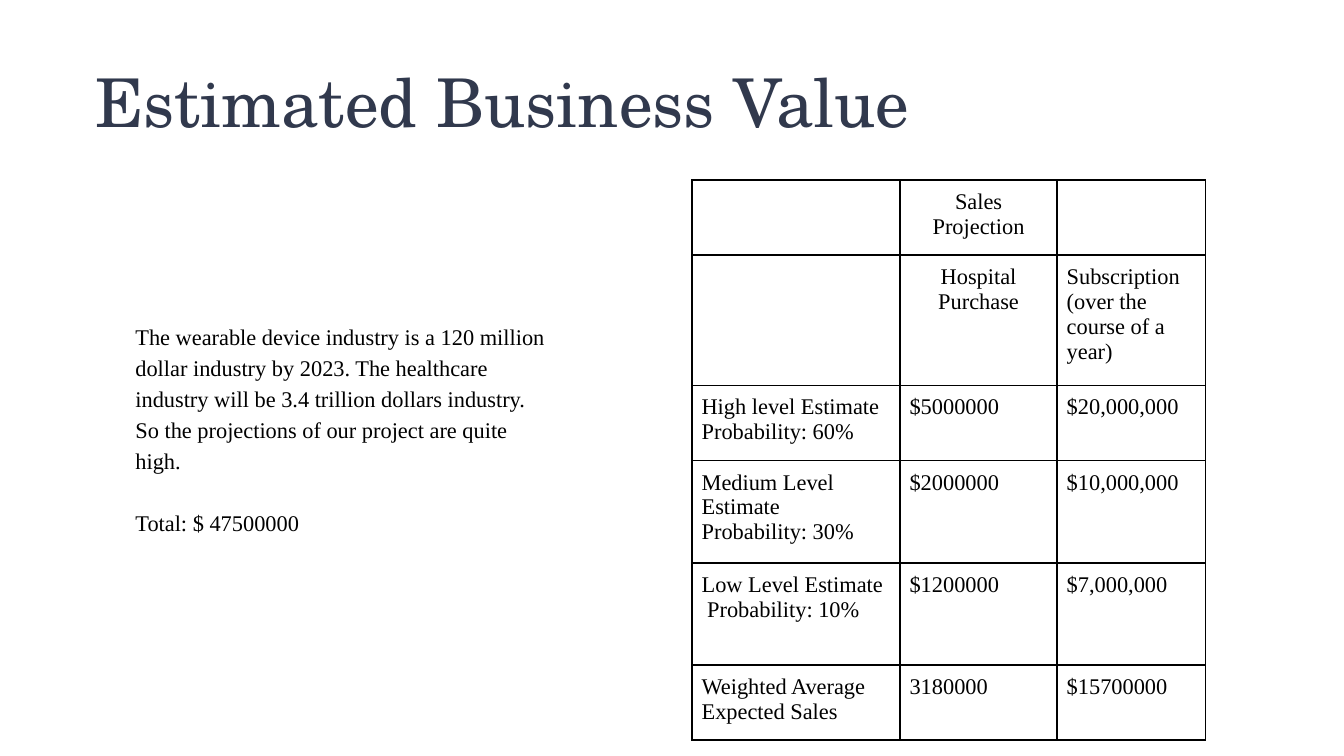
"""Build the slide on estimated business value, with its sales projection table."""
from lxml import etree
from pptx import Presentation
from pptx.dml.color import RGBColor
from pptx.enum.text import MSO_ANCHOR, MSO_AUTO_SIZE, PP_ALIGN
from pptx.oxml import parse_xml
from pptx.oxml.ns import nsdecls
from pptx.util import Cm, Pt


def style(paragraph, font_name, size, colour):
    for run in paragraph.runs:
        run.font.name = font_name
        run.font.size = Pt(size)
        run.font.color.rgb = RGBColor.from_string(colour)


def add_borders(cell, colour, width):
    properties = cell._tc.get_or_add_tcPr()
    for position, side in enumerate(("lnL", "lnR", "lnT", "lnB")):
        properties.insert(position, parse_xml(
            f'<a:{side} {nsdecls("a")} w="{Pt(width)}"><a:solidFill>'
            f'<a:srgbClr val="{colour}"/></a:solidFill></a:{side}>'))


BODY_FONT = "Times New Roman"
BLACK = "000000"

presentation = Presentation()
presentation.slide_width = Cm(25.4)
presentation.slide_height = Cm(14.28)
slide = presentation.slides.add_slide(presentation.slide_layouts[5])

title = slide.shapes.title
title.left, title.top, title.width, title.height = Cm(1.55), Cm(1.02), Cm(19.2), Cm(2.13)
title.text_frame.text = "Estimated Business Value"
title.text_frame.vertical_anchor = MSO_ANCHOR.TOP
title.text_frame.paragraphs[0].alignment = PP_ALIGN.LEFT
title.text_frame.paragraphs[0].space_after = Pt(16)
style(title.text_frame.paragraphs[0], "TeX Gyre Schola", 36, "31394D")

projection_rows = [
    ("", "Sales Projection", ""),
    ("", "Hospital Purchase", "Subscription (over the course of a year)"),
    ("High level Estimate\nProbability: 60%", "$5000000", "$20,000,000"),
    ("Medium Level Estimate\nProbability: 30%", "$2000000", "$10,000,000"),
    ("Low Level Estimate\n Probability: 10%", "$1200000", "$7,000,000"),
    ("Weighted Average Expected Sales", "3180000", "$15700000"),
]
column_widths = [3.93, 2.97, 2.8]
row_heights = [1.42, 2.46, 1.42, 1.93, 1.93, 1.42]
projection = slide.shapes.add_table(
    len(row_heights), len(column_widths), Cm(13.08), Cm(3.4),
    Cm(sum(column_widths)), Cm(sum(row_heights))).table
projection.first_row = False
projection.horz_banding = False
for column, width in zip(projection.columns, column_widths):
    column.width = Cm(width)
for row, height in zip(projection.rows, row_heights):
    row.height = Cm(height)
for row_number, texts in enumerate(projection_rows):
    for column_number, text in enumerate(texts):
        cell = projection.cell(row_number, column_number)
        cell.text_frame.text = text
        cell.margin_left = cell.margin_right = Cm(0.18)
        cell.margin_top = cell.margin_bottom = Cm(0.18)
        cell.fill.background()
        add_borders(cell, BLACK, 1)
        for paragraph in cell.text_frame.paragraphs:
            if row_number < 2 and column_number == 1:
                paragraph.alignment = PP_ALIGN.CENTER
            style(paragraph, BODY_FONT, 12, BLACK)

outlook = slide.shapes.add_textbox(Cm(2.31), Cm(3.91), Cm(8.33), Cm(8.33)).text_frame
outlook.word_wrap = True
outlook.auto_size = MSO_AUTO_SIZE.NONE
outlook.vertical_anchor = MSO_ANCHOR.MIDDLE
outlook.margin_left = outlook.margin_right = Cm(0.25)
outlook.margin_top = outlook.margin_bottom = Cm(0.25)
outlook.text = (
    "The wearable device industry is a 120 million dollar industry by 2023. "
    "The healthcare industry will be 3.4 trillion dollars industry. "
    "So the projections of our project are quite high.\n"
    "Total: $ 47500000")
for paragraph in outlook.paragraphs:
    paragraph.line_spacing = 1.15
    style(paragraph, BODY_FONT, 12, BLACK)
outlook.paragraphs[1].space_before = Pt(16.5)

presentation.save("out.pptx")
